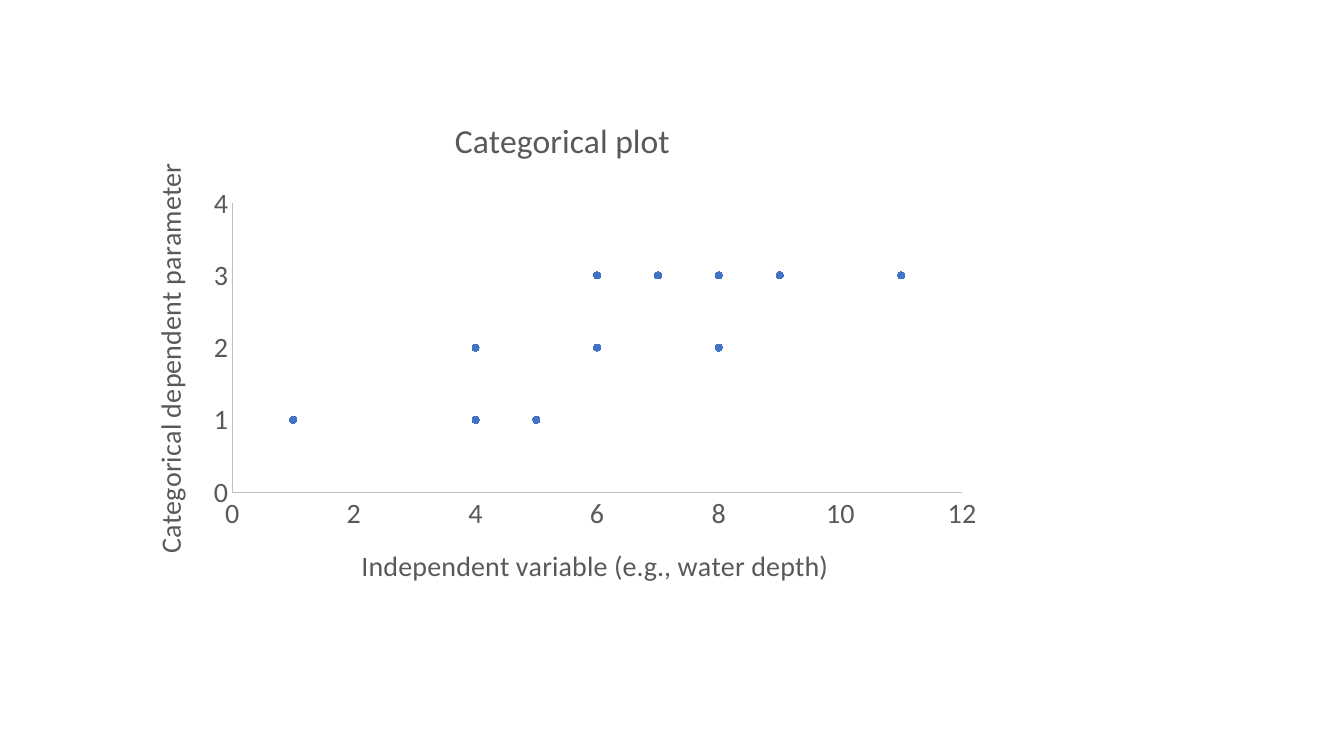
"""Build a slide with a scatter chart of a categorical parameter."""
from dataclasses import dataclass

from pptx import Presentation
from pptx import util as u
from pptx.chart import axis as ax
from pptx.chart import chart as ch
from pptx.chart.data import XyChartData
from pptx.dml.color import RGBColor
from pptx.enum import chart as ce
from pptx.oxml import parse_xml
from pptx.oxml.ns import nsdecls, qn


@dataclass(frozen=True)
class Theme:
    """Colours, font and type sizes of the slide."""
    ink: RGBColor = RGBColor(0x59, 0x59, 0x59)
    axis: RGBColor = RGBColor(0xBF, 0xBF, 0xBF)
    point: RGBColor = RGBColor(0x44, 0x72, 0xC4)
    font: str = "Calibri"
    heading: float = 24
    label: float = 20


@dataclass(frozen=True)
class Scale:
    """Title and range of one axis."""
    title: str
    maximum: float
    step: float


THEME = Theme()
DEPTH = Scale("Independent variable (e.g., water depth)", 12, 2)
CATEGORY = Scale("Categorical dependent parameter", 4, 1)
DEPTHS_BY_CATEGORY = {
    1: (4, 1, 5, 5, 4, 5),
    2: (4, 4, 8, 8, 6, 8),
    3: (7, 11, 8, 9, 7, 9, 6),
}
PLOT_AREA = {"x": 0.12, "y": 0.21, "w": 0.84, "h": 0.57}


def apply(target: object, values: dict[str, object]) -> None:
    """Set each named attribute on the target."""
    for name, value in values.items():
        setattr(target, name, value)


def style_font(font: object, size: float) -> None:
    """Give a font the theme's face and ink."""
    apply(font, {"name": THEME.font, "size": u.Pt(size), "bold": False})
    font.color.rgb = THEME.ink


def write_title(owner: ch.Chart | ax.ValueAxis, title: str, size: float) -> None:
    """Write the title of a chart or an axis."""
    frame = (owner.chart_title if isinstance(owner, ch.Chart) else owner.axis_title).text_frame
    frame.text = title
    style_font(frame.paragraphs[0].runs[0].font, size)


def style_axis(axis: ax.ValueAxis, scale: Scale) -> None:
    """Set the range, title and look of an axis."""
    apply(axis, {
        "minimum_scale": 0,
        "maximum_scale": scale.maximum,
        "major_unit": scale.step,
        "has_major_gridlines": False,
        "major_tick_mark": ce.XL_TICK_MARK.NONE,
        "minor_tick_mark": ce.XL_TICK_MARK.NONE,
    })
    axis.format.line.width = u.Pt(0.75)
    axis.format.line.color.rgb = THEME.axis
    style_font(axis.tick_labels.font, THEME.label)
    write_title(axis, scale.title, THEME.label)


def place_plot(chart: ch.Chart) -> None:
    """Fix the inner plot area within the chart."""
    area = chart.element.find(".//" + qn("c:plotArea"))
    automatic = area.find(qn("c:layout"))
    if automatic is not None:
        area.remove(automatic)
    modes = "".join(f'<c:{side}Mode val="edge"/>' for side in "xy")
    sizes = "".join(f'<c:{side} val="{share}"/>' for side, share in PLOT_AREA.items())
    area.insert(0, parse_xml(
        f'<c:layout {nsdecls("c")}><c:manualLayout><c:layoutTarget val="inner"/>'
        f"{modes}{sizes}</c:manualLayout></c:layout>"))


def main() -> None:
    """Create the slide and save it."""
    deck = Presentation()
    apply(deck, {"slide_width": u.Pt(960), "slide_height": u.Pt(540)})
    slide = deck.slides.add_slide(deck.slide_layouts[6])

    observations = XyChartData()
    points = observations.add_series("Series 1")
    for category, depths in DEPTHS_BY_CATEGORY.items():
        for depth in depths:
            points.add_data_point(depth, category)

    chart = slide.shapes.add_chart(
        ce.XL_CHART_TYPE.XY_SCATTER,
        u.Pt(91.44), u.Pt(69.12), u.Pt(620.64), u.Pt(362.16), observations).chart
    apply(chart, {"has_legend": False, "has_title": True})
    style_font(chart.font, THEME.label)
    write_title(chart, "Categorical plot", THEME.heading)
    style_axis(chart.category_axis, DEPTH)
    style_axis(chart.value_axis, CATEGORY)
    place_plot(chart)

    plot = chart.plots[0]
    plot.vary_by_categories = False
    dots = plot.series[0]
    dots.format.line.fill.background()
    apply(dots.marker, {"style": ce.XL_MARKER_STYLE.CIRCLE, "size": 5})
    dots.marker.format.fill.solid()
    dots.marker.format.fill.fore_color.rgb = THEME.point
    dots.marker.format.line.color.rgb = THEME.point

    deck.save("out.pptx")


if __name__ == "__main__":
    main()
